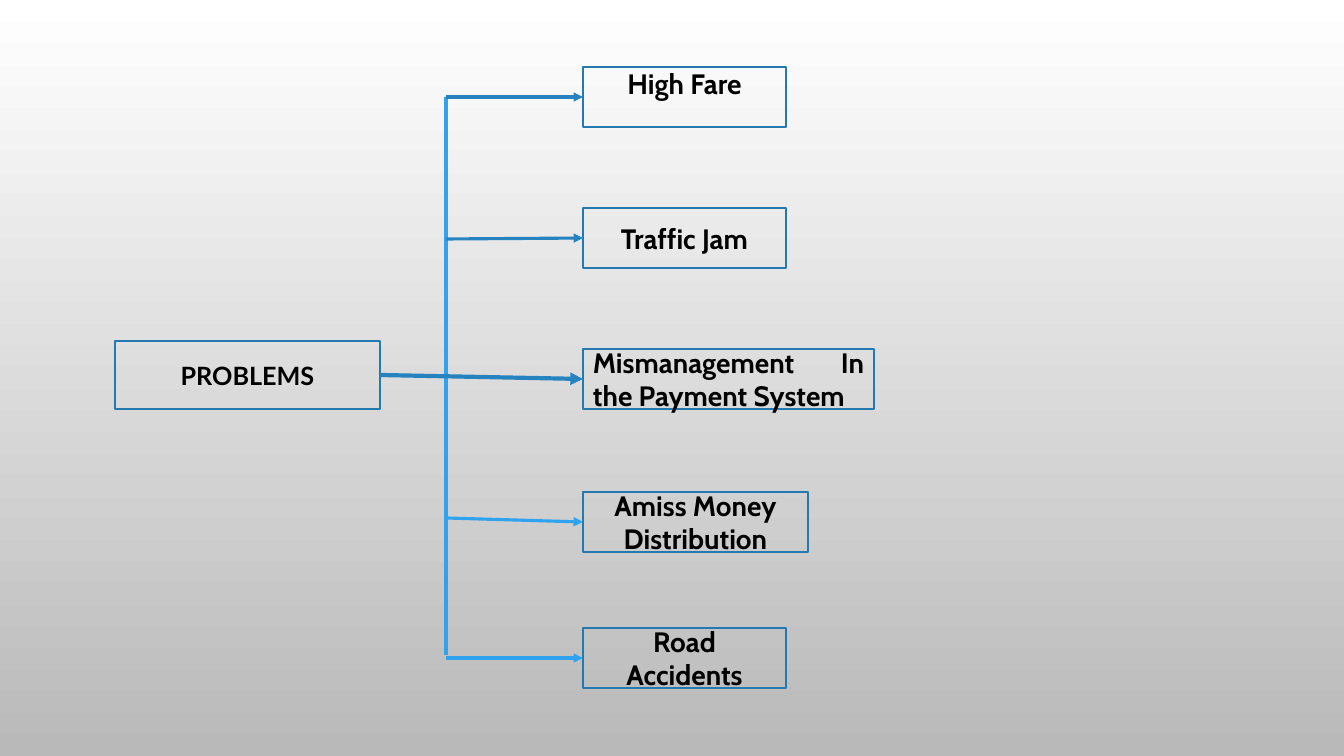
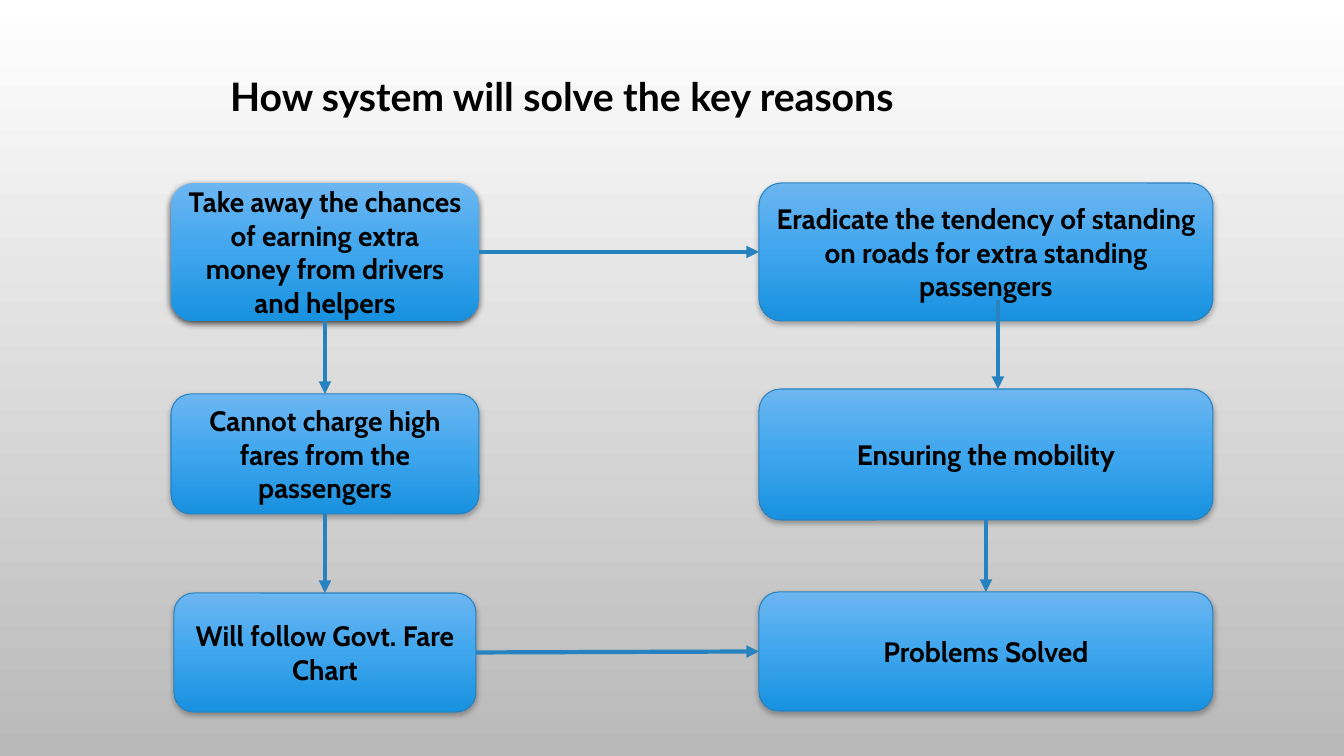
from copy import deepcopy
from dataclasses import dataclass

from lxml.etree import SubElement
from pptx import Presentation
from pptx.dml.color import RGBColor
from pptx.enum.shapes import MSO_CONNECTOR, MSO_SHAPE
from pptx.enum.text import MSO_ANCHOR, MSO_AUTO_SIZE, PP_ALIGN
from pptx.oxml.ns import qn
from pptx.util import Pt

PX = 914400 / 100.8
TOP, LEFT, BOTTOM, RIGHT = range(4)  # connection sites of a box


@dataclass(frozen=True)
class Theme:
    backdrop: tuple = ("FFFFFF", "B9B9B9")
    card: tuple = ("6CB6F1", "3FA6EE", "1891DF")
    outline: str = "2379B0"
    dark: str = "2683BF"
    light: str = "2FA3EE"
    ink: str = "000000"
    head_font: str = "Lato"
    body_font: str = "Cabin"
    title_size: int = 28
    label_size: int = 18
    body_size: int = 20


T = Theme()
SOFT_SHADOW = (28, 4)  # opacity in percent, blur in points
DEEP_SHADOW = (69, 5)


def px(*values):
    return [round(v * PX) for v in values]


def assign(obj, values):
    for name, value in values.items():
        setattr(obj, name, value)


# Shared formatting
def set_gradient(fill, colors):
    """Spread the colours evenly from top to bottom."""
    fill.gradient()
    fill.gradient_angle = 270
    stop_list = fill._xPr.find(".//" + qn("a:gsLst"))
    for _ in colors[2:]:
        stop_list.insert(1, deepcopy(stop_list[0]))
    for i, (stop, color) in enumerate(zip(fill.gradient_stops, colors)):
        stop.position = i / (len(colors) - 1)
        stop.color.rgb = RGBColor.from_string(color)


def set_line(line, color, width):
    line.color.rgb = RGBColor.from_string(color)
    line.width = Pt(width)


def set_text(shape, text, size, font=T.body_font, align=PP_ALIGN.CENTER, **frame):
    tf = shape.text_frame
    assign(tf, {"word_wrap": True, "vertical_anchor": MSO_ANCHOR.MIDDLE, **frame})
    p = tf.paragraphs[0]
    p.alignment = align
    r = p.add_run()
    r.text = text
    assign(r.font, {"name": font, "size": Pt(size), "bold": True})
    r.font.color.rgb = RGBColor.from_string(T.ink)


def add_shadow(sp, opacity, blur):
    effects = sp._element.spPr.find(qn("a:effectLst"))
    shadow = SubElement(effects, qn("a:outerShdw"), blurRad=str(Pt(blur)),
                        dist=str(Pt(2)), dir="5400000", rotWithShape="0")
    color = SubElement(shadow, qn("a:srgbClr"), val=T.ink)
    SubElement(color, qn("a:alpha"), val=str(opacity * 1000))


# Elements
def add_box(s, box, text, size=T.body_size, **text_format):
    sp = s.shapes.add_shape(MSO_SHAPE.RECTANGLE, *px(*box))
    sp.shadow.inherit = False
    sp.fill.background()
    set_line(sp.line, T.outline, 1.25)
    set_text(sp, text, size, **text_format)
    return sp


def add_card(s, box, text, outlined=True, shadow=SOFT_SHADOW):
    sp = s.shapes.add_shape(MSO_SHAPE.ROUNDED_RECTANGLE, *px(*box))
    sp.shadow.inherit = False
    set_gradient(sp.fill, T.card)
    if outlined:
        set_line(sp.line, T.dark, 0.75)
    else:
        sp.line.fill.background()
    add_shadow(sp, *shadow)
    set_text(sp, text, T.body_size)
    return sp


def add_link(s, start, end, color=T.dark, width=3, arrow=True):
    """Join two ends, each a point (x, y) or a (shape, site) pair."""
    glued = [not isinstance(e[0], (int, float)) for e in (start, end)]
    points = [(0, 0) if g else e for g, e in zip(glued, (start, end))]
    cxn = s.shapes.add_connector(MSO_CONNECTOR.STRAIGHT, *px(*points[0], *points[1]))
    if glued[0]:
        cxn.begin_connect(*start)
    if glued[1]:
        cxn.end_connect(*end)
    set_line(cxn.line, color, width)
    if arrow:
        SubElement(cxn.line._get_or_add_ln(), qn("a:tailEnd"), type="triangle")
    SubElement(cxn._element.spPr, qn("a:effectLst"))


def add_title(s, box, text):
    title = s.shapes.title
    assign(title, dict(zip(("left", "top", "width", "height"), px(*box))))
    set_text(title, text, T.title_size, T.head_font, PP_ALIGN.LEFT,
             vertical_anchor=MSO_ANCHOR.TOP, auto_size=MSO_AUTO_SIZE.SHAPE_TO_FIT_TEXT)


# Slides
def problems_slide(prs):
    s = prs.slides.add_slide(prs.slide_layouts[6])
    root = add_box(s, (115, 341, 265, 68), "PROBLEMS", T.label_size, font=T.head_font)
    trunk_x, branch_x = 446, 583
    add_link(s, (trunk_x, 97), (trunk_x, 655), T.light, 2.25, arrow=False)

    # Top, width, text, start of the branch on the trunk, branch colour, text format
    problems = [
        (67, 203, "High Fare", 97, T.dark,
         {"vertical_anchor": MSO_ANCHOR.TOP, "margin_top": 0}),
        (208, 203, "Traffic Jam", 239, T.dark, {}),
        (349, 291, "Mismanagement In the Payment System", None, T.dark,
         {"align": PP_ALIGN.JUSTIFY}),
        (492, 225, "Amiss Money Distribution", 518, T.light, {}),
        (628, 203, "Road Accidents", 658, T.light, {}),
    ]
    for top, width, text, branch_y, color, text_format in problems:
        box = add_box(s, (branch_x, top, width, 60), text, **text_format)
        if branch_y is None:
            add_link(s, (root, RIGHT), (box, LEFT))
        else:
            add_link(s, (trunk_x, branch_y), (box, LEFT), color, 2.25)


def solution_slide(prs):
    s = prs.slides.add_slide(prs.slide_layouts[5])
    add_title(s, (220, 67, 817, 57), "How system will solve the key reasons")

    # Left column
    chances = add_card(s, (171, 183, 308, 138),
                       "Take away the chances of earning extra money from drivers and helpers",
                       outlined=False, shadow=DEEP_SHADOW)
    fares = add_card(s, (171, 394, 308, 120),
                     "Cannot charge high fares from the passengers")
    chart = add_card(s, (174, 593, 302, 119), "Will follow Govt. Fare Chart")

    # Right column
    right_column = [
        (183, 138, "Eradicate the tendency of standing on roads for extra standing passengers"),
        (389, 131, "Ensuring the mobility"),
        (592, 119, "Problems Solved"),
    ]
    standing, mobility, solved = [
        add_card(s, (759, top, 454, height), text) for top, height, text in right_column]

    # Flow
    for start, end in [
        ((chances, RIGHT), (standing, LEFT)),
        ((998, 300), (998, 389)),
        ((mobility, BOTTOM), (solved, TOP)),
        ((chances, BOTTOM), (fares, TOP)),
        ((fares, BOTTOM), (chart, TOP)),
        ((chart, RIGHT), (solved, LEFT)),
    ]:
        add_link(s, start, end)


def main():
    prs = Presentation()
    prs.slide_width, prs.slide_height = px(1344, 756)
    set_gradient(prs.slide_master.background.fill, T.backdrop)
    problems_slide(prs)
    solution_slide(prs)
    prs.save("out.pptx")


main()
